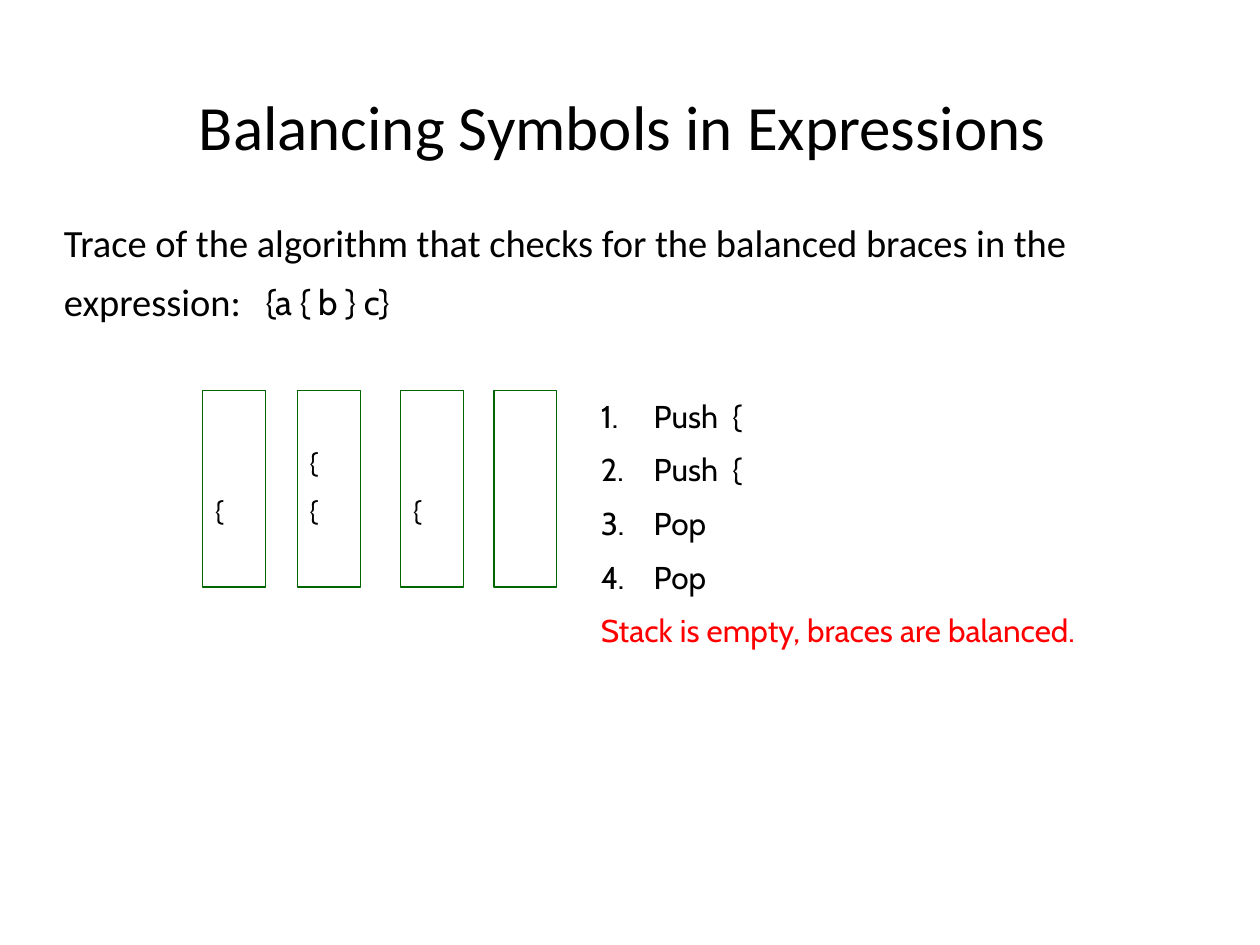
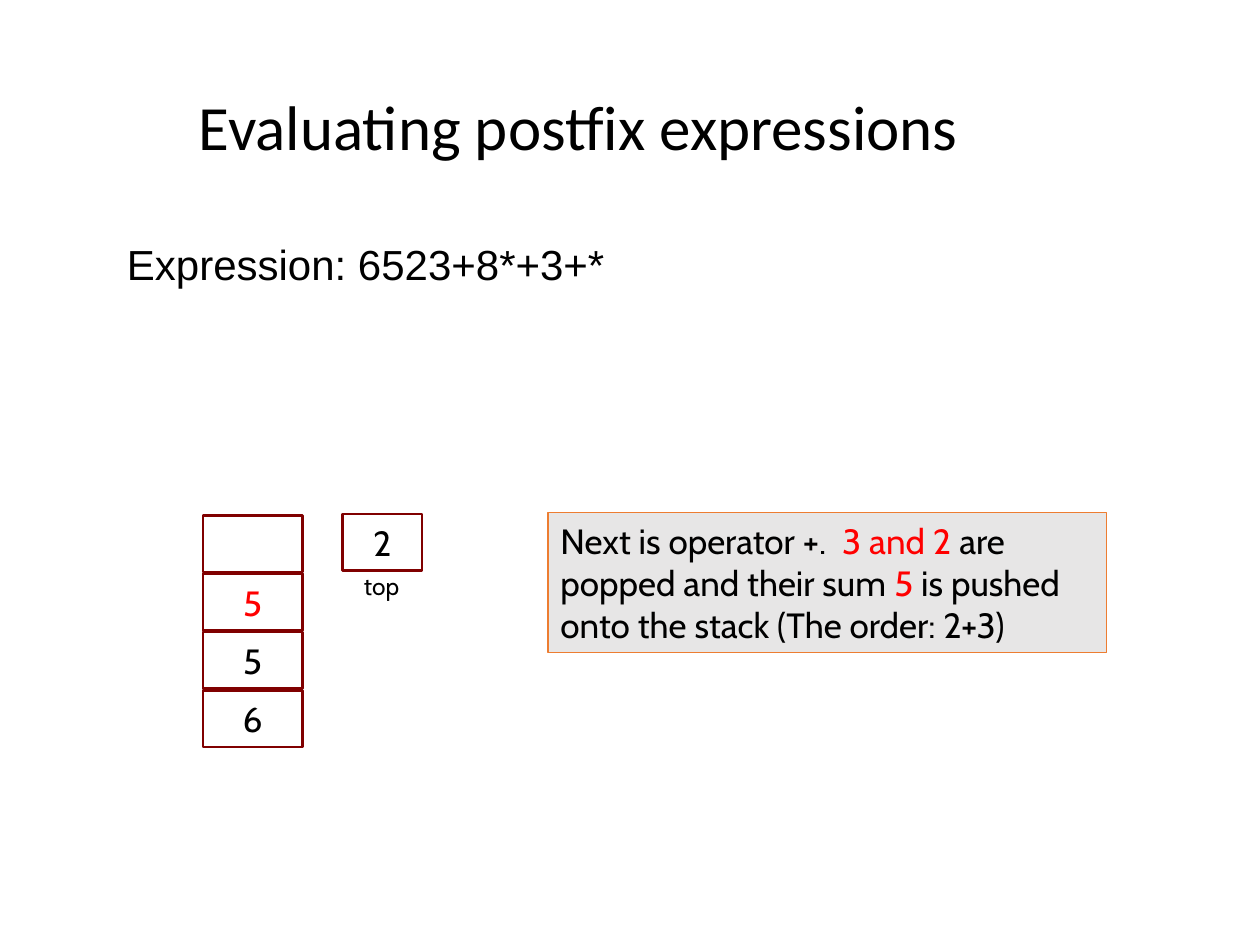
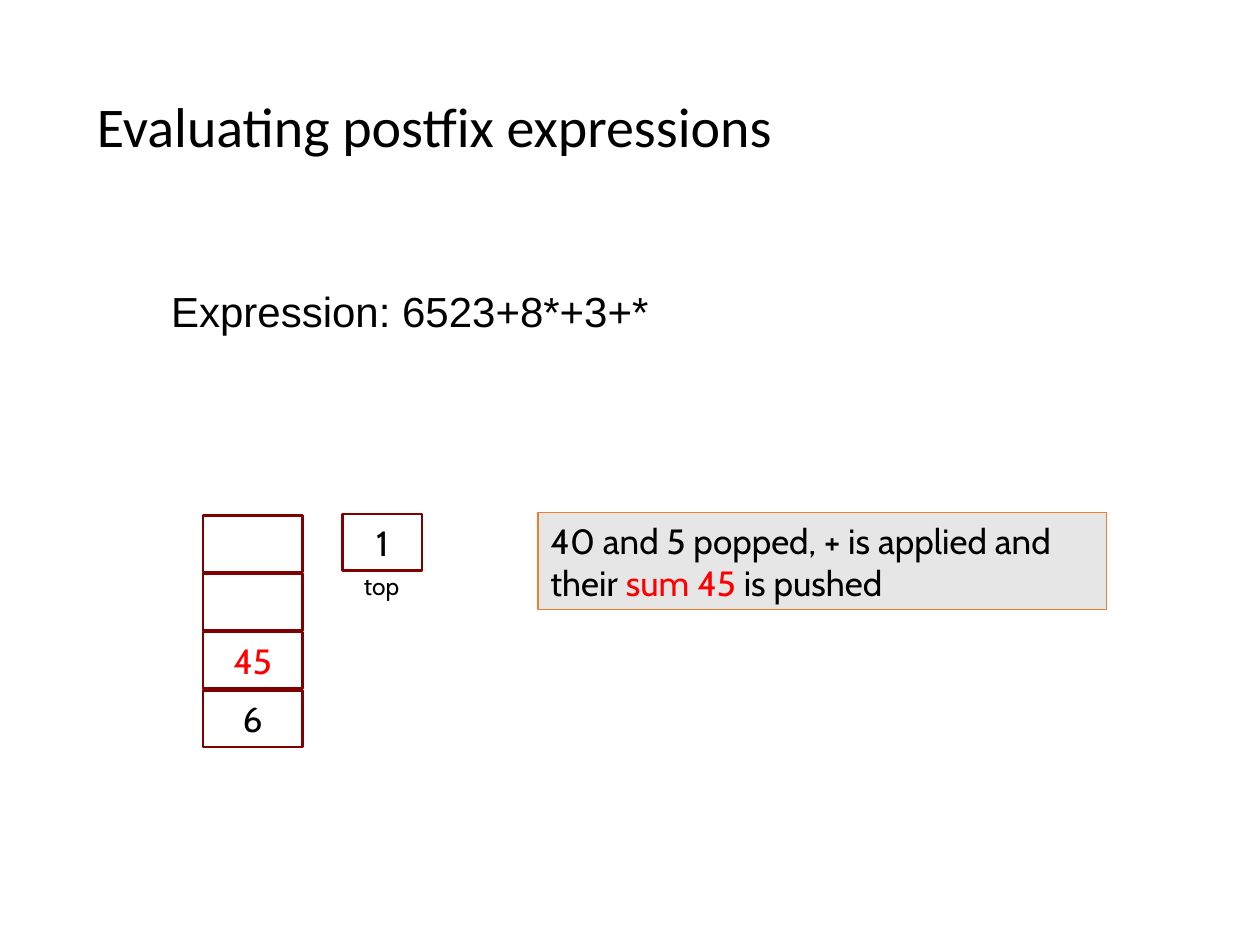
from dataclasses import dataclass
from pptx import Presentation
from pptx.dml.color import RGBColor
from pptx.enum.shapes import MSO_SHAPE
from pptx.enum.text import MSO_ANCHOR, PP_ALIGN
from pptx.oxml.ns import qn
from pptx.util import Inches, Pt
from lxml.etree import SubElement


@dataclass(frozen=True)
class Theme:
    # Colours
    ink: str = "000000"
    red: str = "FF0000"
    green: str = "006600"
    maroon: str = "800000"
    orange: str = "ED7D31"
    grey: str = "E7E6E6"
    # Fonts
    head: str = "Calibri"
    body: str = "Cabin"
    plain: str = "Arial"
    # Type sizes
    title: int = 36
    large: int = 24
    lead: int = 22
    note: int = 20
    step: int = 18
    brace: int = 16
    label: int = 14


T = Theme()
WIDE, HIGH = Inches(10), Inches(7.5)
COLS, ROWS = 100, 75  # the slide's grid; boxes are (left, top, width, height)
HANG = 4.2  # hanging indent of numbered steps, in columns


def col(n):
    return round(WIDE * n / COLS)


def row(n):
    return round(HIGH * n / ROWS)


def place(box):
    x, y, w, h = box
    return col(x), row(y), col(w), row(h)


def write(frame, paras, size=T.note, font=T.body, color=T.ink, gap=0, lines=1.0,
          align=PP_ALIGN.LEFT, anchor=MSO_ANCHOR.TOP, count=0):
    """Fill a frame; a paragraph is a string or a list of (text, colour) runs.
    The first `count` paragraphs are numbered."""
    frame.word_wrap = True
    frame.vertical_anchor = anchor
    for i, runs in enumerate(paras):
        para = frame.paragraphs[0] if i == 0 else frame.add_paragraph()
        para.alignment, para.line_spacing = align, lines
        if i:
            para.space_before = Pt(gap)
        if i < count:
            props = para._p.get_or_add_pPr()
            props.set("marL", str(col(HANG)))
            props.set("indent", str(-col(HANG)))
            SubElement(props, qn("a:buAutoNum"), type="arabicPeriod")
        for text, tint in [(runs, color)] if isinstance(runs, str) else runs:
            run = para.add_run()
            run.text = text
            run.font.name, run.font.size = font, Pt(size)
            run.font.color.rgb = RGBColor.from_string(tint)


def label(slide, box, paras, **fmt):
    area = slide.shapes.add_textbox(*place(box))
    write(area.text_frame, paras, **fmt)


def rect(slide, box, line, width, fill=None):
    shape = slide.shapes.add_shape(MSO_SHAPE.RECTANGLE, *place(box))
    shape.shadow.inherit = False
    shape.line.color.rgb = RGBColor.from_string(line)
    shape.line.width = Pt(width)
    if fill:
        shape.fill.solid()
        shape.fill.fore_color.rgb = RGBColor.from_string(fill)
    else:
        shape.fill.background()
    return shape.text_frame


def start(deck, text, left, size=T.title):
    """Add a blank slide with its title, which runs to the right edge."""
    slide = deck.slides.add_slide(deck.slide_layouts[6])
    label(slide, (left, 2.3, COLS - left, 16), [text], size=size, font=T.head,
          lines=0.9, anchor=MSO_ANCHOR.MIDDLE)
    return slide


def trace(slide, box, stacks):
    """Draw one open box per state, braces standing on a shared base."""
    x, y, w, h = box
    for shift, braces in stacks:
        frame = rect(slide, (x + shift, y, w, h), T.green, 0.75)
        frame.margin_bottom = row(4.8)
        write(frame, ["{"] * braces, size=T.brace, gap=T.brace / 2,
              anchor=MSO_ANCHOR.BOTTOM)


def cell(slide, box, text, color=T.ink):
    frame = rect(slide, box, T.maroon, 1.5)
    if text:
        write(frame, [text], color=color, align=PP_ALIGN.CENTER,
              anchor=MSO_ANCHOR.MIDDLE)


def stack(slide, box, items, top):
    """Draw the stack from top to bottom, with its top index beside it."""
    x, y, w, h = box
    tall = 4.5
    pitch = (h - tall) / (len(items) - 1)
    for i, (text, color) in enumerate(items):
        cell(slide, (x, y + i * pitch, w, tall), text, color)
    cell(slide, (x + 11.1, y - 0.1, 6.3, tall), top)
    label(slide, (x + 11.8, y + 3.9, 6.3, 3.3), ["top"], size=T.label)


def balance(deck):
    slide = start(deck, "Balancing Symbols in Expressions", 14.8)
    # Lead text and expression
    label(slide, (4.1, 17.3, 91.7, 10),
          ["Trace of the algorithm that checks for the balanced braces in the",
           "expression:"], size=T.lead, font=T.head, lines=0.9, gap=10)
    label(slide, (20.1, 21.8, 16.5, 5.8), ["{a { b } c}"])
    # Stack states and steps
    trace(slide, (16.1, 31, 5, 15.6), [(0, 1), (7.5, 2), (15.7, 1), (23.1, 0)])
    label(slide, (46.7, 31, 47.4, 22.2),
          ["Push  {", "Push  {", "Pop", "Pop",
           [("Stack is empty, braces are balanced.", T.red)]],
          size=T.step, gap=T.step / 2, count=4)


def postfix(deck, left, size, spot, items, top, box, note):
    slide = start(deck, "Evaluating postfix expressions", left, size)
    # Expression
    label(slide, (*spot, 86.6, 10.2), ["Expression: 6523+8*+3+*"],
          size=T.large, font=T.plain, lines=0.9)
    # Note and stack
    write(rect(slide, box, T.orange, 0.75, T.grey), [note])
    stack(slide, (16.1, 40.9, 7.9, 18.4), items, top)


def main():
    deck = Presentation()
    deck.slide_width, deck.slide_height = WIDE, HIGH
    balance(deck)
    postfix(deck, 14.8, T.title, (9.1, 18.9),
            [("", T.ink), ("5", T.red), ("5", T.ink), ("6", T.ink)], "2",
            (43.5, 40.7, 44.3, 11.1),
            [("Next is operator +.  ", T.ink), ("3 and 2 ", T.red),
             ("are popped and their sum ", T.ink), ("5 ", T.red),
             ("is pushed onto the stack (The order: 2+3)", T.ink)])
    postfix(deck, 6.7, 32, (12.6, 22.6),
            [("", T.ink), ("", T.ink), ("45", T.red), ("6", T.ink)], "1",
            (42.7, 40.7, 45.1, 7.7),
            [("40 and 5 popped, + is applied and their ", T.ink),
             ("sum 45", T.red), (" is pushed", T.ink)])
    deck.save("out.pptx")


if __name__ == "__main__":
    main()
